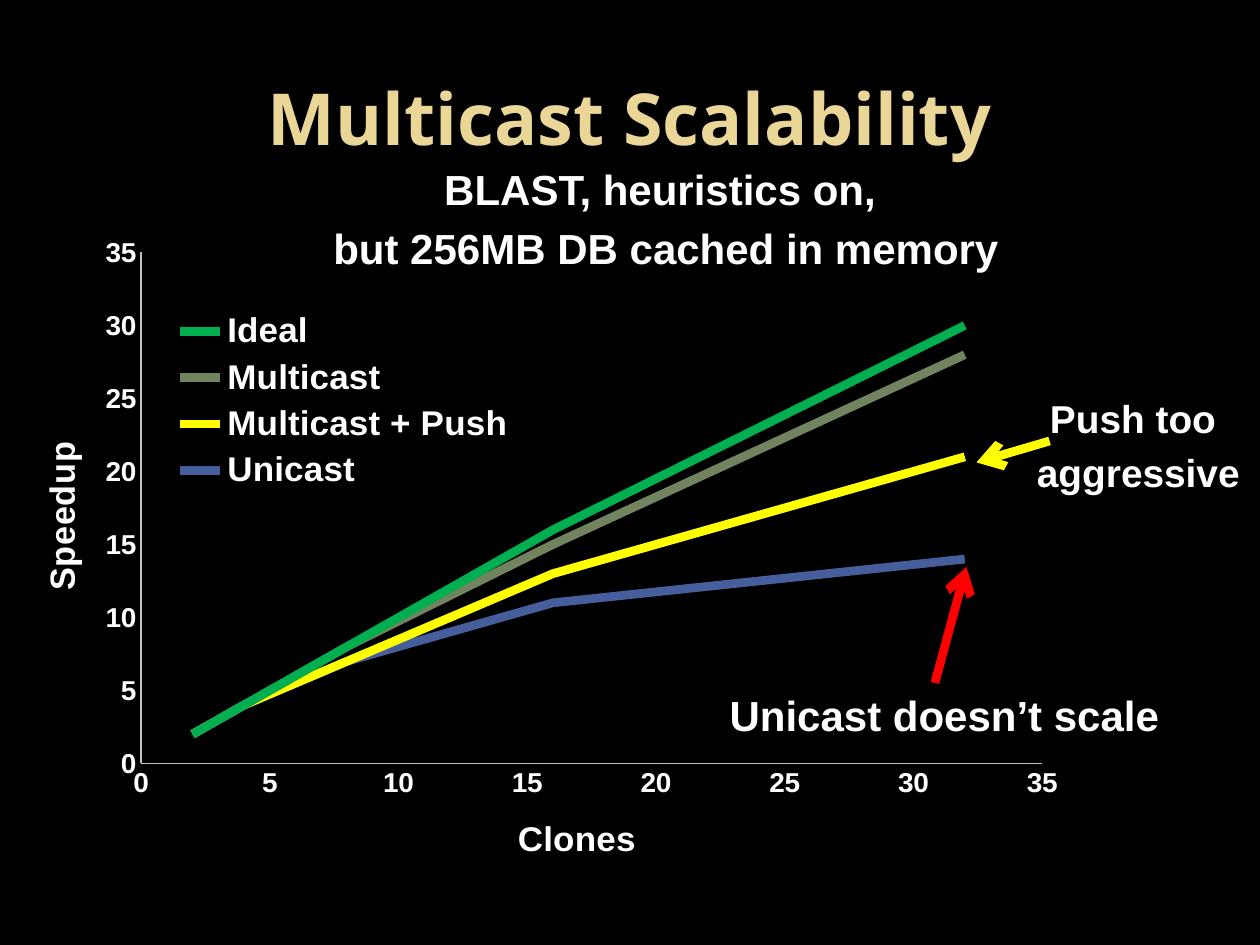
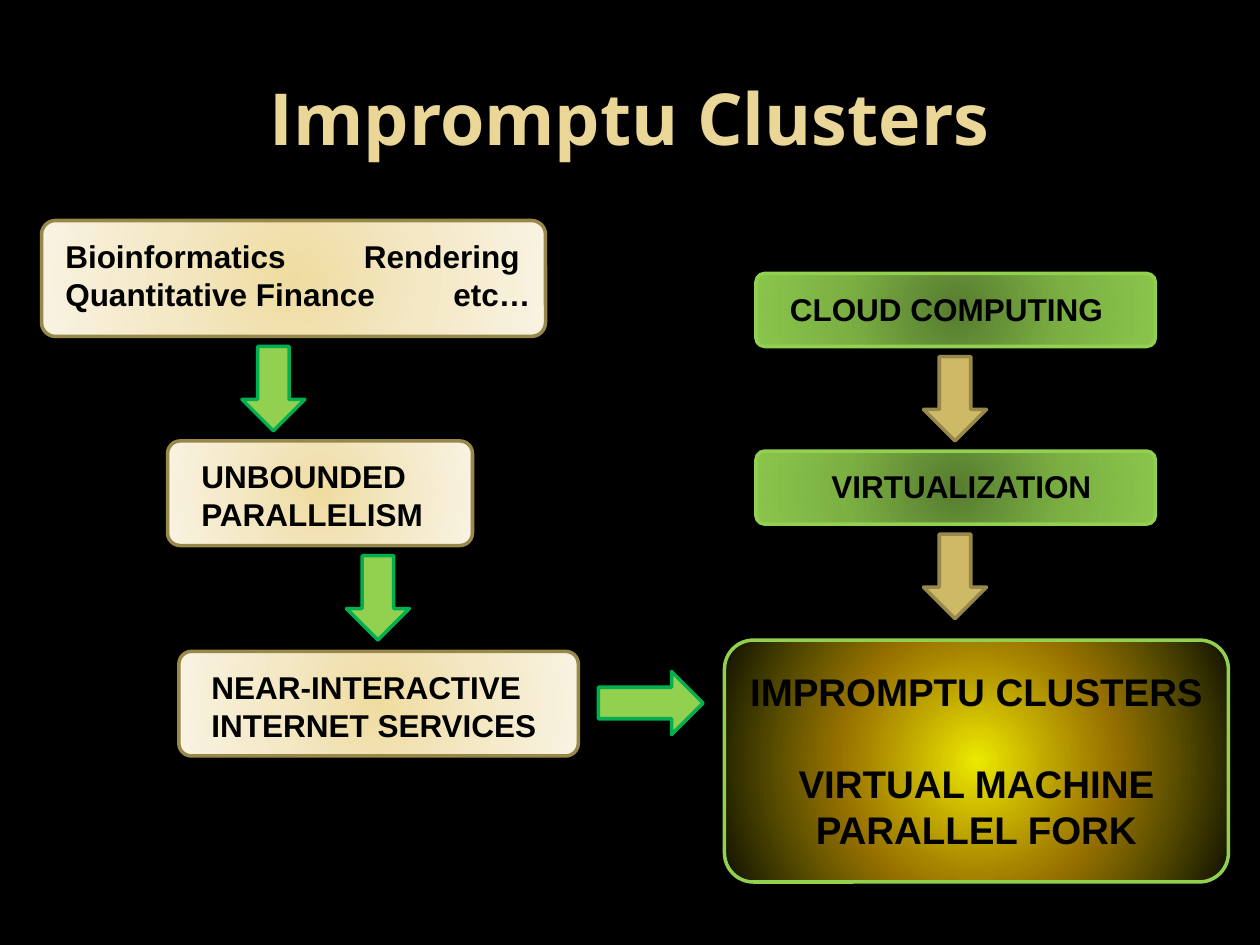
"""Builds two slides: a multicast scalability chart and an impromptu clusters flow."""
from itertools import cycle
from lxml.etree import SubElement
from pptx import Presentation
from pptx.chart.data import XyChartData
from pptx.dml.color import RGBColor
from pptx.enum.chart import XL_CHART_TYPE as Chart, XL_LEGEND_POSITION as Legend, XL_TICK_MARK as Tick
from pptx.enum.shapes import MSO_CONNECTOR as Link, MSO_SHAPE as Shape
from pptx.enum.text import MSO_ANCHOR as Anchor, PP_ALIGN as Align
from pptx.oxml import parse_xml
from pptx.oxml.ns import nsdecls, qn
from pptx.util import Inches, Pt

COLORS = {
    "background": "000000", "title": "EAD696", "light": "FFFFFF", "dark": "000000",
    "axis": "BFBFBF", "ideal": "00B050", "multicast": "71835F", "push": "FFFF00",
    "unicast": "465E9C", "warning": "FF0000", "green": "92D050",
    "green edge": "00B050", "sand": "CEB966", "sand edge": "98894B",
}

CLONES = (2, 4, 8, 16, 32)
SPEEDUPS = (
    ("Ideal", "ideal", (2, 4, 8, 16, 30)),
    ("Multicast", "multicast", (2, 4, 8, 15, 28)),
    ("Multicast + Push", "push", (2, 4, 7, 13, 21)),
    ("Unicast", "unicast", (2, 4, 7, 11, 14)),
)
CHART_AREA = (0.25, 1.75, 8.25, 5.15)
PLOT_AREA = (0.87, 0.26, 7.15, 4.15)
LEGEND_AREA = (1.08, 0.68, 2.8, 1.57)
AXIS_TITLES = {"Clones": (3.81, 4.79), "Speedup": (0.01, 1.77)}
REMARKS = (
    ((1.67, 1.25, 7.08, 1.17), 24, ("BLAST, heuristics on, ", "but 256MB DB cached in memory")),
    ((5.42, 5.42, 4, 0.58), 24, ("Unicast doesn’t scale",)),
    ((7.92, 3.08, 2.08, 1.08), 22.2, ("Push too ", "aggressive")),
)
POINTERS = (("warning", (7.42, 5.42, 7.67, 4.5)), ("push", (8.33, 3.5, 7.75, 3.67)))

CARD_STYLES = {
    "demand": ("sand edge", (("EFDCA0", 100), ("F4E8C5", 100), ("F9F3E2", 100))),
    "supply": ("green", (("92D050", 59), ("92D050", 83), ("92D050", 95))),
    "result": ("green", (("FFFF00", 92), ("FFC000", 58), ("FFFF00", 5))),
}
ARROW_STYLES = {"demand": ("green", "green edge"), "supply": ("sand", "sand edge")}
CARDS = (
    ("demand", (0.33, 1.75, 4, 0.92), (0.42, 3.92),
     ("Bioinformatics\tRendering", "Quantitative Finance\tetc…"), 1.92),
    ("demand", (1.33, 3.5, 2.42, 0.83), (1.5, 2.17), ("UNBOUNDED", "PARALLELISM"), 2.75),
    ("demand", (1.42, 5.17, 3.17, 0.83), (1.58, 2.92),
     ("NEAR-INTERACTIVE", "INTERNET SERVICES"), None),
    ("supply", (6, 2.17, 3.17, 0.58), (6.17, 2.92), ("CLOUD COMPUTING",), 7.33),
    ("supply", (6, 3.58, 3.17, 0.58), (6.5, 2.33), ("VIRTUALIZATION",), 7.33),
)
TAB_STOPS = {"Bioinformatics\tRendering": 2.37, "Quantitative Finance\tetc…": 3.08}
RESULT_AREA = (5.75, 5.08, 4, 1.92)
RESULT_LINES = ("IMPROMPTU CLUSTERS", "VIRTUAL MACHINE", "PARALLEL FORK")
GAP = 0.08


def color(name):
    return RGBColor.from_string(COLORS[name])


def inches(values):
    return [Inches(value) for value in values]


def apply(target, **values):
    for key, value in values.items():
        setattr(target, key, value)


def style_font(font, size, tone="light", face="Arial"):
    apply(font, size=Pt(size), bold=True, name=face)
    font.color.rgb = color(tone)


def style_line(line, tone, width):
    line.color.rgb = color(tone)
    line.width = Pt(width)


def add_text(slide, area, lines, size, tone, align=Align.LEFT, face="Arial"):
    frame = slide.shapes.add_textbox(*inches(area)).text_frame
    frame.word_wrap = True
    for index, line in enumerate(lines):
        paragraph = frame.paragraphs[0] if index == 0 else frame.add_paragraph()
        paragraph.alignment = align
        run = paragraph.add_run()
        run.text = line
        style_font(run.font, size, tone, face)
    return frame


def add_slide(deck, title):
    slide = deck.slides.add_slide(deck.slide_layouts[6])
    slide.background.fill.solid()
    slide.background.fill.fore_color.rgb = color("background")
    frame = add_text(slide, (0.5, 0.3, 9, 1.25), [title], 41, "title", Align.CENTER, "Open Sans")
    frame.vertical_anchor = Anchor.MIDDLE
    return slide


def layout(area, inner=False):
    target = '<c:layoutTarget val="inner"/>' if inner else ""
    modes = "".join(f'<c:{axis}Mode val="edge"/>' for axis in "xy")
    places = "".join(f'<c:{key} val="{value / extent:.4f}"/>'
                     for key, value, extent in zip("xywh", area, cycle(CHART_AREA[2:])))
    return parse_xml(f'<c:layout {nsdecls("c")}><c:manualLayout>{target}{modes}{places}'
                     "</c:manualLayout></c:layout>")


def place(element, area, index=1, inner=False):
    for old in element.findall(qn("c:layout")):
        element.remove(old)
    element.insert(index, layout(area, inner))


def style_axis(axis, title):
    apply(axis, minimum_scale=0, maximum_scale=35, major_unit=5, has_major_gridlines=False,
          major_tick_mark=Tick.NONE, minor_tick_mark=Tick.NONE, has_title=True)
    style_font(axis.tick_labels.font, 16)
    style_line(axis.format.line, "axis", 1)
    caption = axis.axis_title
    caption.text_frame.text = title
    style_font(caption.text_frame.paragraphs[0].runs[0].font, 20)
    place(caption._element, AXIS_TITLES[title])


def add_speedup_chart(slide):
    data = XyChartData()
    for name, _, speedups in SPEEDUPS:
        series = data.add_series(name)
        for clones, speedup in zip(CLONES, speedups):
            series.add_data_point(clones, speedup)
    chart = slide.shapes.add_chart(Chart.XY_SCATTER_LINES_NO_MARKERS, *inches(CHART_AREA), data).chart
    apply(chart, has_title=False, has_legend=True)
    style_font(chart.font, 10, face="Cambria")
    apply(chart.legend, position=Legend.RIGHT, include_in_layout=False)
    style_font(chart.legend.font, 20)
    place(chart.legend._element, LEGEND_AREA)
    plot = chart.plots[0]
    plot.vary_by_categories = False
    place(chart._chartSpace.chart.plotArea, PLOT_AREA, 0, True)
    for series, (_, tone, _) in zip(plot.series, SPEEDUPS):
        series.smooth = False
        style_line(series.format.line, tone, 5)
    style_axis(chart.category_axis, "Clones")
    style_axis(chart.value_axis, "Speedup")


def add_pointer(slide, tone, ends):
    pointer = slide.shapes.add_connector(Link.STRAIGHT, *inches(ends))
    style_line(pointer.line, tone, 5)
    SubElement(pointer.line._get_or_add_ln(), qn("a:tailEnd"), type="arrow")
    SubElement(pointer._element.spPr, qn("a:effectLst"))


def add_remark(slide, area, size, lines):
    frame = add_text(slide, area, lines, size, "light", Align.CENTER)
    for paragraph in frame.paragraphs:
        paragraph.space_before = Pt(size / 5)
        properties = paragraph._p.get_or_add_pPr()
        for key, value in {"marL": 0.6, "indent": -0.45}.items():
            properties.set(key, str(Inches(value)))


def add_card(slide, kind, area):
    edge, tints = CARD_STYLES[kind]
    card = slide.shapes.add_shape(Shape.ROUNDED_RECTANGLE, *inches(area))
    card.shadow.inherit = False
    card.adjustments[0] = 0.12
    style_line(card.line, edge, 2)
    card.fill.background()
    stops = "".join(
        f'<a:gs pos="{step * 50000}"><a:srgbClr val="{tint}"><a:alpha val="{opacity * 1000}"/>'
        "</a:srgbClr></a:gs>" for step, (tint, opacity) in enumerate(tints))
    glow = parse_xml(
        f'<a:gradFill {nsdecls("a")} rotWithShape="1"><a:gsLst>{stops}</a:gsLst><a:path path="circle">'
        '<a:fillToRect l="50000" t="50000" r="50000" b="50000"/></a:path></a:gradFill>')
    properties = card._element.spPr
    properties.replace(properties.find(qn("a:noFill")), glow)


def add_arrow(slide, form, kind, area):
    fill, edge = ARROW_STYLES[kind]
    arrow = slide.shapes.add_shape(form, *inches(area))
    arrow.shadow.inherit = False
    arrow.fill.solid()
    arrow.fill.fore_color.rgb = color(fill)
    style_line(arrow.line, edge, 2)


def add_step(slide, kind, area, text_span, lines, arrow_left):
    _, top, _, height = area
    add_card(slide, kind, area)
    text_left, text_width = text_span
    text_area = (text_left, top + GAP, text_width, 0.09 + 0.31 * len(lines))
    frame = add_text(slide, text_area, lines, 18, "dark")
    for line, paragraph in zip(lines, frame.paragraphs):
        if line in TAB_STOPS:
            tabs = SubElement(paragraph._p.get_or_add_pPr(), qn("a:tabLst"))
            SubElement(tabs, qn("a:tab"), pos=str(Inches(TAB_STOPS[line])), algn="l")
    if arrow_left is not None:
        add_arrow(slide, Shape.DOWN_ARROW, kind, (arrow_left, top + height + GAP, 0.5, 0.67))


def main():
    deck = Presentation()
    apply(deck, slide_width=Inches(10), slide_height=Inches(7.5))

    scalability = add_slide(deck, "Multicast Scalability")
    add_speedup_chart(scalability)
    for remark in REMARKS:
        add_remark(scalability, *remark)
    for pointer in POINTERS:
        add_pointer(scalability, *pointer)

    clusters = add_slide(deck, "Impromptu Clusters")
    for card in CARDS:
        add_step(clusters, *card)
    add_arrow(clusters, Shape.RIGHT_ARROW, "demand", (4.75, 5.33, 0.83, 0.5))
    add_card(clusters, "result", RESULT_AREA)
    result = add_text(clusters, (5.75, 5.25, 4, 1.58), RESULT_LINES, 22, "dark", Align.CENTER)
    result.paragraphs[1].space_before = Pt(26.4)

    deck.save("out.pptx")


if __name__ == "__main__":
    main()
